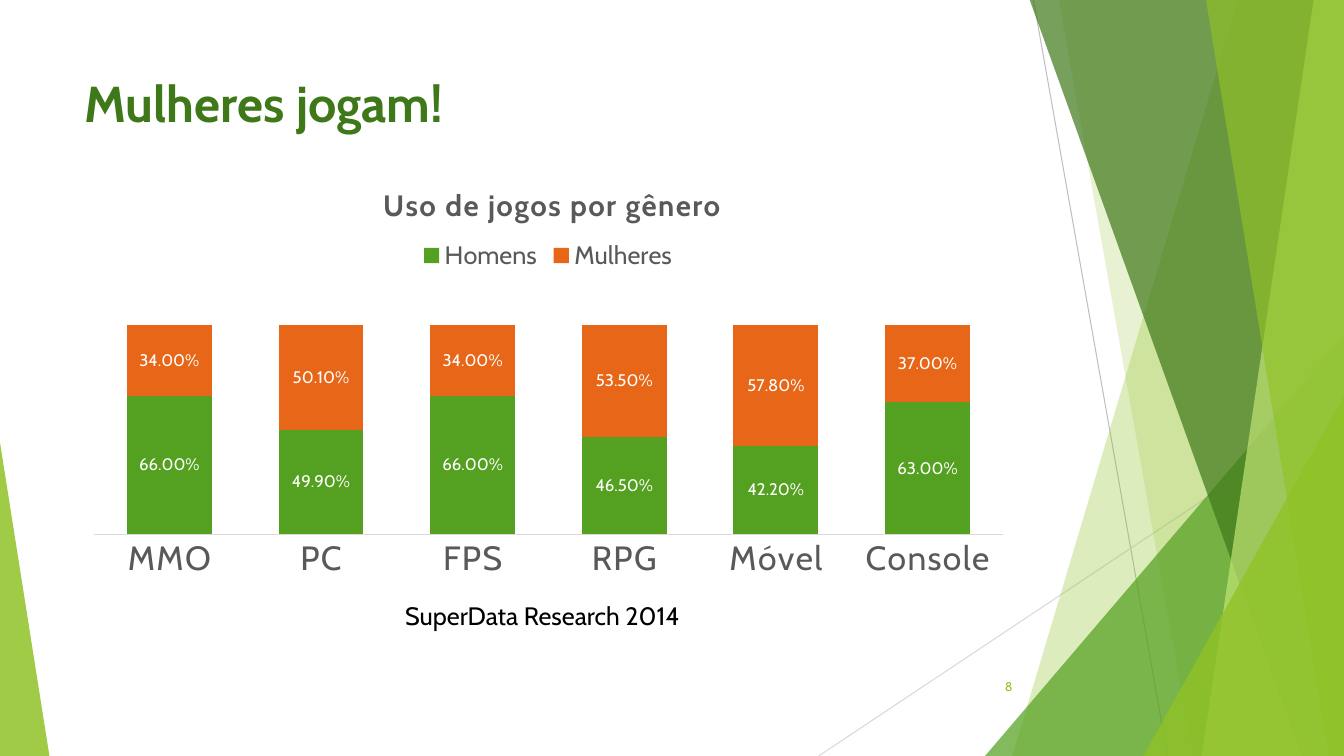
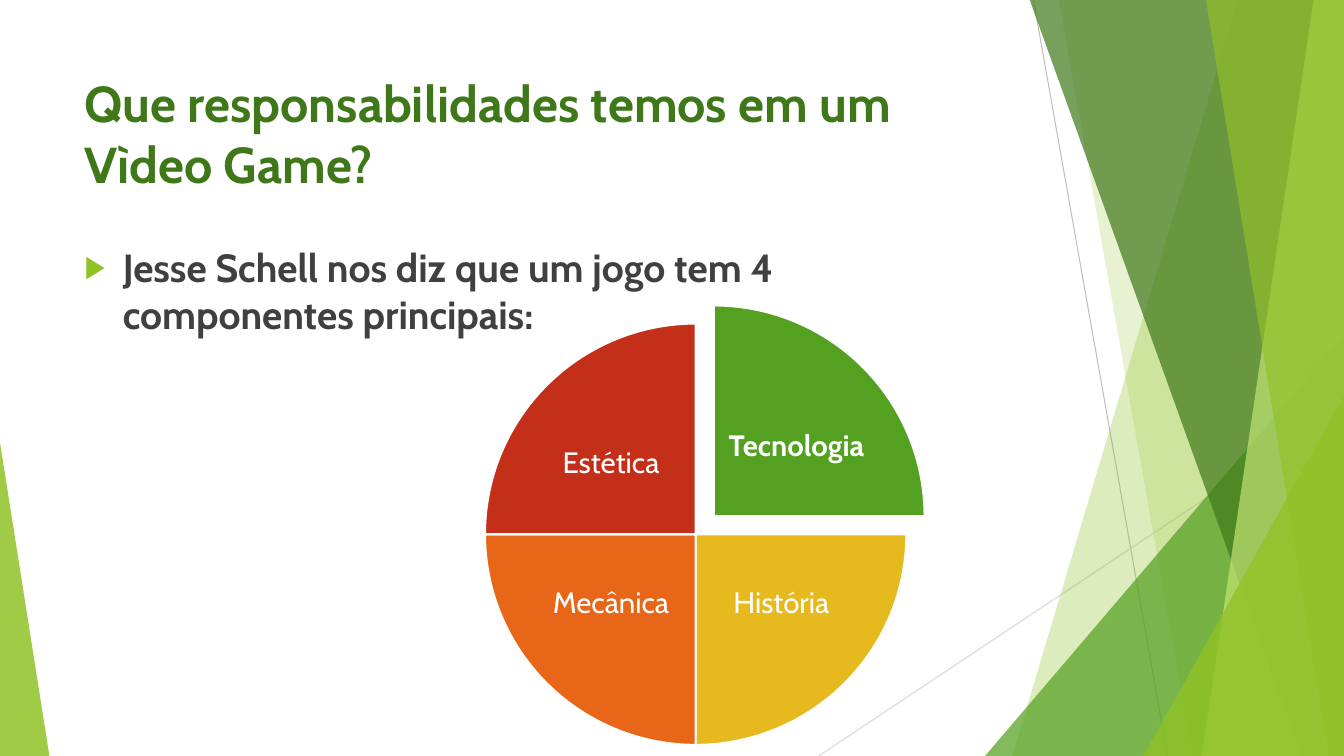
import lxml.etree
import pptx
import pptx.chart.data
import pptx.dml.color
import pptx.enum.chart
import pptx.enum.shapes
import pptx.enum.text
import pptx.oxml.ns
import pptx.util

Inches = pptx.util.Inches
Pt = pptx.util.Pt
qn = pptx.oxml.ns.qn
SHAPE = pptx.enum.shapes.MSO_SHAPE
ALIGN = pptx.enum.text.PP_ALIGN
ANCHOR = pptx.enum.text.MSO_ANCHOR

WIDE, HIGH = 13.33, 7.5
LEFT, SPAN = 0.74, 9.4
FACE = "Cabin"
COLORS = {
    "lime": "90C226",
    "green": "54A021",
    "dark": "3F7819",
    "pale": "C0E474",
    "orange": "E76618",
    "gold": "E6B91E",
    "red": "C42F1A",
    "white": "FFFFFF",
    "black": "000000",
    "text": "404040",
    "gray": "595959",
    "rule": "BFBFBF",
    "mist": "D9D9D9",
}


def rgb(name):
    return pptx.dml.color.RGBColor.from_string(COLORS[name])


def set_font(font, size, color, bold=False):
    font.name = FACE
    font.size = Pt(size)
    font.bold = bold
    font.color.rgb = rgb(color)


def paint(shape, color, alpha=100):
    shape.shadow.inherit = False
    shape.fill.solid()
    shape.fill.fore_color.rgb = rgb(color)
    shape.line.fill.background()
    if alpha < 100:
        tint = shape._element.spPr.find(".//" + qn("a:srgbClr"))
        lxml.etree.SubElement(tint, qn("a:alpha"), val=str(alpha * 1000))


def add_rule(slide, x1, y1, x2, y2, color):
    line = slide.shapes.add_connector(
        pptx.enum.shapes.MSO_CONNECTOR.STRAIGHT,
        Inches(x1), Inches(y1), Inches(x2), Inches(y2))
    line.line.color.rgb = rgb(color)
    line.line.width = Pt(0.75)
    lxml.etree.SubElement(line._element.spPr, qn("a:effectLst"))


def add_band(slide, top, base, color, alpha):
    corners = [(top, -0.01), (WIDE, -0.01), (WIDE, HIGH), (base, HIGH)]
    points = [(Inches(x), Inches(y)) for x, y in corners]
    form = slide.shapes.build_freeform(*points[0])
    form.add_line_segments(points[1:], close=True)
    paint(form.convert_to_shape(), color, alpha)


def add_wedge(slide, left, top, width, peak, color, alpha):
    wedge = slide.shapes.add_shape(
        SHAPE.ISOSCELES_TRIANGLE, Inches(left), Inches(top),
        Inches(width), Inches(HIGH - top))
    wedge.adjustments[0] = peak
    paint(wedge, color, alpha)


def add_text(slide, box, text, size, color, bold=False, align=ALIGN.LEFT,
             anchor=ANCHOR.TOP, wrap=True, inset=None, bullet=False):
    frame = slide.shapes.add_textbox(*map(Inches, box)).text_frame
    frame.word_wrap = wrap
    frame.vertical_anchor = anchor
    if inset is not None:
        frame.margin_left = frame.margin_right = Inches(inset)
        frame.margin_top = frame.margin_bottom = Inches(inset)
    par = frame.paragraphs[0]
    par.text = text
    par.alignment = align
    if bullet:
        add_bullet(par)
    set_font(par.font, size, color, bold)
    return frame


def add_bullet(par):
    props = par._p.get_or_add_pPr()
    props.set("marL", str(Inches(0.38)))
    props.set("indent", str(Inches(-0.38)))
    tint = lxml.etree.SubElement(props, qn("a:buClr"))
    lxml.etree.SubElement(tint, qn("a:srgbClr"), val=COLORS["lime"])
    lxml.etree.SubElement(props, qn("a:buSzPct"), val="80000")
    lxml.etree.SubElement(props, qn("a:buFont"), typeface="Arial")
    lxml.etree.SubElement(props, qn("a:buChar"), char="▶")


def add_page(deck, title):
    slide = deck.slides.add_slide(deck.slide_layouts[6])
    add_rule(slide, 10.25, 0, 11.58, HIGH, "rule")
    add_rule(slide, WIDE, 4.03, 8.12, HIGH, "mist")
    add_band(slide, 12.28, 10.04, "lime", 30)
    add_band(slide, 10.5, 11.83, "lime", 20)
    add_wedge(slide, 9.77, 3.33, 3.56, 1, "green", 72)
    add_band(slide, 10.21, 12.91, "dark", 70)
    add_band(slide, 13.03, 11.92, "pale", 70)
    add_band(slide, 11.96, 13.18, "lime", 65)
    add_wedge(slide, 11.34, 3.93, 1.99, 1, "lime", 80)
    add_wedge(slide, 0, 4.39, 0.49, 0, "lime", 85)
    add_text(slide, (LEFT, 0.67, SPAN, 1.44), title, 36, "dark", bold=True)
    return slide


def place(node, index, **spots):
    for old in node.findall(qn("c:layout")):
        node.remove(old)
    layout = lxml.etree.Element(qn("c:layout"))
    node.insert(index, layout)
    manual = lxml.etree.SubElement(layout, qn("c:manualLayout"))
    if "w" in spots:
        lxml.etree.SubElement(manual, qn("c:layoutTarget"), val="inner")
    for mode in ("xMode", "yMode"):
        lxml.etree.SubElement(manual, qn("c:" + mode), val="edge")
    for key, spot in spots.items():
        lxml.etree.SubElement(manual, qn("c:" + key), val=str(spot))


def add_bars(slide, box, title, groups, series):
    data = pptx.chart.data.CategoryChartData(number_format="0.00%")
    data.categories = groups
    for name, color, values in series:
        data.add_series(name, values)
    chart = slide.shapes.add_chart(
        pptx.enum.chart.XL_CHART_TYPE.COLUMN_STACKED,
        *map(Inches, box), data).chart
    set_font(chart.font, 10, "black")

    chart.has_title = True
    head = chart.chart_title.text_frame
    head.text = title
    run = head.paragraphs[0].runs[0]
    set_font(run.font, 21, "gray", bold=True)
    run._r.rPr.set("spc", "100")
    place(chart.chart_title._element, 1, x=0.32, y=0.05)

    chart.has_legend = True
    chart.legend.position = pptx.enum.chart.XL_LEGEND_POSITION.TOP
    chart.legend.include_in_layout = False
    set_font(chart.legend.font, 18, "gray")
    place(chart.legend._element, 1, x=0.36, y=0.18)
    place(chart._chartSpace.chart.plotArea, 0, x=0.02, y=0.39, w=0.96, h=0.49)

    scale = chart.value_axis
    scale.minimum_scale, scale.maximum_scale = 0, 1
    scale.has_major_gridlines = False
    scale.visible = False
    base = chart.category_axis
    base.major_tick_mark = pptx.enum.chart.XL_TICK_MARK.NONE
    base.format.line.color.rgb = rgb("mist")
    base.format.line.width = Pt(0.75)
    set_font(base.tick_labels.font, 24, "gray")
    base._element.find(".//" + qn("a:defRPr")).set("spc", "100")

    plot = chart.plots[0]
    plot.gap_width, plot.overlap = 79, 100
    plot.vary_by_categories = False
    for bars, (name, color, values) in zip(plot.series, series):
        bars.format.fill.solid()
        bars.format.fill.fore_color.rgb = rgb(color)
        labels = bars.data_labels
        labels.show_value = True
        labels.number_format = "0.00%"
        labels.number_format_is_linked = False
        set_font(labels.font, 12, "white")


def add_slice(slide, left, top, start, color, label, spot, bold=False):
    part = slide.shapes.add_shape(
        SHAPE.PIE, Inches(left), Inches(top), Inches(4.18), Inches(4.18))
    part.adjustments[0] = start * 0.6
    part.adjustments[1] = (start + 90) % 360 * 0.6
    paint(part, color)
    part.line.color.rgb = rgb("white")
    part.line.width = Pt(1.5)
    frame = add_text(slide, (*spot, 1.54, 1.24), label, 21, "white", bold,
                     ALIGN.CENTER, ANCHOR.MIDDLE, inset=0.03)
    frame.paragraphs[0].line_spacing = 0.9


def build_usage(deck):
    slide = add_page(deck, "Mulheres jogam!")
    add_bars(
        slide, (LEFT, 1.57, SPAN, 4.24), "Uso de jogos por gênero",
        ["MMO", "PC", "FPS", "RPG", "Móvel", "Console"],
        [("Homens", "green", [0.66, 0.499, 0.66, 0.465, 0.422, 0.63]),
         ("Mulheres", "orange", [0.34, 0.501, 0.34, 0.535, 0.578, 0.37])])
    add_text(slide, (9.39, 6.61, 0.75, 0.4), "8", 9, "lime",
             align=ALIGN.RIGHT, anchor=ANCHOR.MIDDLE)
    source = add_text(slide, (3.92, 5.91, 3.05, 0.4),
                      "SuperData Research 2014", 18, "black", wrap=False)
    source.auto_size = pptx.enum.text.MSO_AUTO_SIZE.SHAPE_TO_FIT_TEXT


def build_parts(deck):
    slide = add_page(deck, "Que responsabilidades temos em um Vìdeo Game?")
    add_text(slide, (LEFT, 2.36, SPAN, 4.24),
             "Jesse Schell nos diz que um jogo tem 4 componentes principais:",
             28, "text", bold=True, bullet=True)
    add_slice(slide, 4.99, 3.03, 270, "green", "Tecnologia", (7.13, 3.81), True)
    rest = [("gold", "História", (6.98, 5.37)),
            ("orange", "Mecânica", (5.29, 5.37)),
            ("red", "Estética", (5.29, 3.98))]
    for turn, (color, label, spot) in enumerate(rest):
        add_slice(slide, 4.81, 3.21, turn * 90, color, label, spot)


def main():
    deck = pptx.Presentation()
    deck.slide_width, deck.slide_height = Inches(WIDE), Inches(HIGH)
    build_usage(deck)
    build_parts(deck)
    deck.save("out.pptx")


if __name__ == "__main__":
    main()
